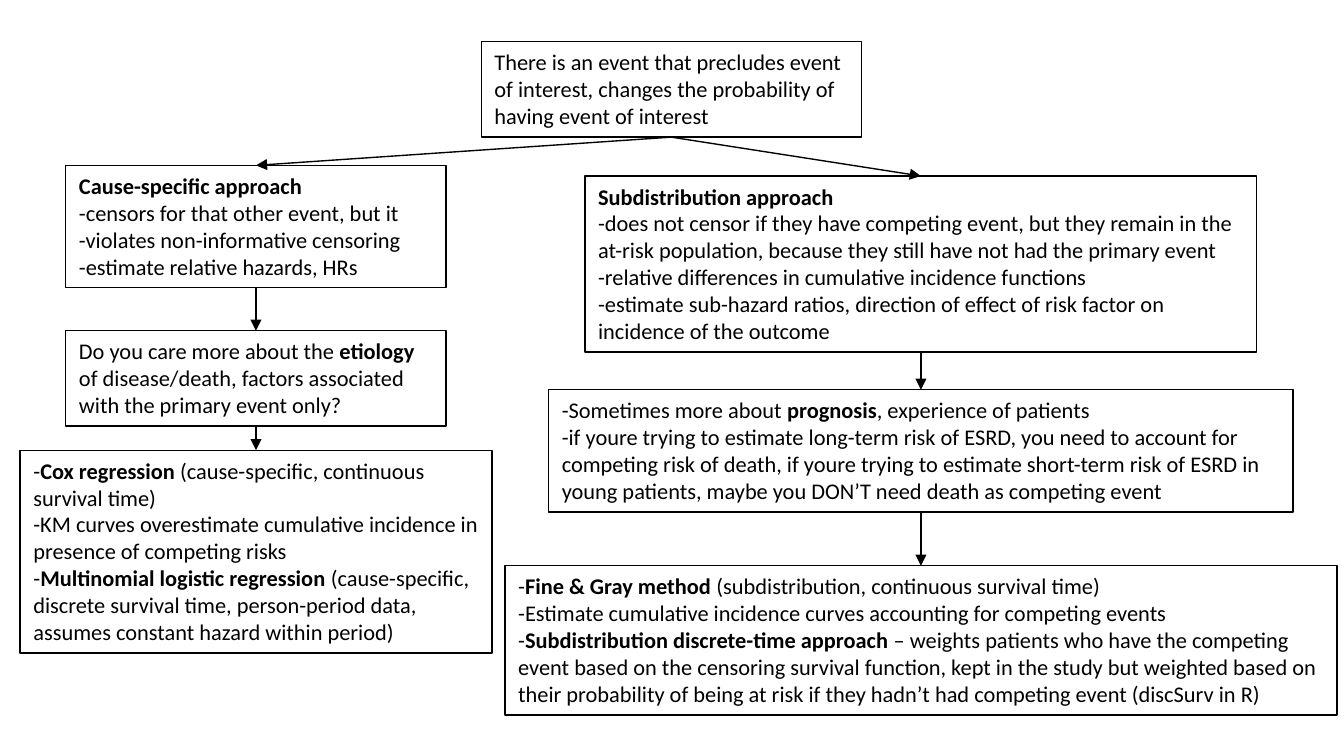
from lxml.etree import SubElement
from pptx import Presentation
from pptx.dml.color import RGBColor
from pptx.enum.shapes import MSO_CONNECTOR, MSO_SHAPE
from pptx.enum.text import MSO_ANCHOR, MSO_AUTO_SIZE, PP_ALIGN
from pptx.oxml.ns import qn
from pptx.util import Pt

COLORS = {"ink": "000000"}
INK = RGBColor.from_string(COLORS["ink"])
LEAD, PAD = 14.4, 7.9  # line height and total vertical padding of a box

# Each step: offset from column top, width, text lines, paragraphs (** marks bold)
ROOT = [
    (0, 203.8, 3, [
        "There is an event that precludes event of interest, changes the "
        "probability of having event of interest"]),
]
CAUSE = [
    (0, 203.8, 4, [
        "**Cause-specific approach**",
        "-censors for that other event, but it",
        "-violates non-informative censoring",
        "-estimate relative hazards, HRs"]),
    (88.6, 203.8, 3, [
        "Do you care more about the **etiology** of disease/death, factors "
        "associated with the primary event only?"]),
    (152.6, 252.7, 7, [
        "-**Cox regression** (cause-specific, continuous survival time)",
        "-KM curves overestimate cumulative incidence in presence of "
        "competing risks",
        "-**Multinomial logistic regression **(cause-specific, discrete "
        "survival time, person-period data, assumes constant hazard within "
        "period)"]),
]
SUBDIST = [
    (0, 360, 6, [
        "**Subdistribution approach**",
        "-does not censor if they have competing event, but they remain in "
        "the at-risk population, because they still have not had the primary "
        "event",
        "-relative differences in cumulative incidence functions",
        "-estimate sub-hazard ratios, direction of effect of risk factor on "
        "incidence of the outcome"]),
    (114.5, 398.9, 4, [
        "-Sometimes more about **prognosis**, experience of patients",
        "-if youre trying to estimate long-term risk of ESRD, you need to "
        "account for competing risk of death, if youre trying to estimate "
        "short-term risk of ESRD in young patients, maybe you DON’T need "
        "death as competing event"]),
    (208.8, 445.7, 5, [
        "-**Fine & Gray method **(subdistribution, continuous survival time)",
        "-Estimate cumulative incidence curves accounting for competing "
        "events",
        "-**Subdistribution discrete-time approach **– weights patients who "
        "have the competing event based on the censoring survival function, "
        "kept in the study but weighted based on their probability of being "
        "at risk if they hadn’t had competing event (discSurv in R)"]),
]


def add_box(slide, left, top, width, height, paras):
    """Outlined text box; its paragraphs may hold bold parts."""
    box = slide.shapes.add_shape(
        MSO_SHAPE.RECTANGLE, Pt(left), Pt(top), Pt(width), Pt(height))
    box.shadow.inherit = False
    box.fill.background()
    box.line.color.rgb = INK
    box.line.width = Pt(0.75)
    frame = box.text_frame
    frame.word_wrap = True
    frame.auto_size = MSO_AUTO_SIZE.SHAPE_TO_FIT_TEXT
    frame.vertical_anchor = MSO_ANCHOR.TOP
    for i, text in enumerate(paras):
        para = frame.add_paragraph() if i else frame.paragraphs[0]
        para.alignment = PP_ALIGN.LEFT
        para.font.name = "Calibri"
        para.font.size = Pt(12)
        para.font.color.rgb = INK
        for j, part in enumerate(text.split("**")):
            if part:
                run = para.add_run()
                run.text = part
                if j % 2:
                    run.font.bold = True
    return box


def add_arrow(slide, start, end):
    """Arrow from the bottom of one box to the top of another."""
    arrow = slide.shapes.add_connector(MSO_CONNECTOR.STRAIGHT, 0, 0, 0, 0)
    arrow.begin_connect(start, 2)
    arrow.end_connect(end, 0)
    arrow.line.color.rgb = INK
    arrow.line.width = Pt(0.75)
    SubElement(arrow.line._get_or_add_ln(), qn("a:tailEnd"), type="triangle")
    SubElement(arrow._element.spPr, qn("a:effectLst"))


def add_column(slide, left, top, width, steps):
    """Centred boxes joined by arrows; returns the first box."""
    boxes = [
        add_box(slide, left + (width - wide) / 2, top + drop,
                wide, lines * LEAD + PAD, paras)
        for drop, wide, lines, paras in steps]
    for start, end in zip(boxes, boxes[1:]):
        add_arrow(slide, start, end)
    return boxes[0]


def main():
    deck = Presentation()
    deck.slide_width, deck.slide_height = Pt(720), Pt(405)
    slide = deck.slides.add_slide(deck.slide_layouts[6])

    # Starting condition and the two approaches
    root = add_column(slide, 257.8, 22.4, 203.8, ROOT)
    cause = add_column(slide, 10.8, 88.6, 252.7, CAUSE)
    subdist = add_column(slide, 270.5, 94.3, 445.7, SUBDIST)
    for branch in (cause, subdist):
        add_arrow(slide, root, branch)

    deck.save("out.pptx")


if __name__ == "__main__":
    main()
